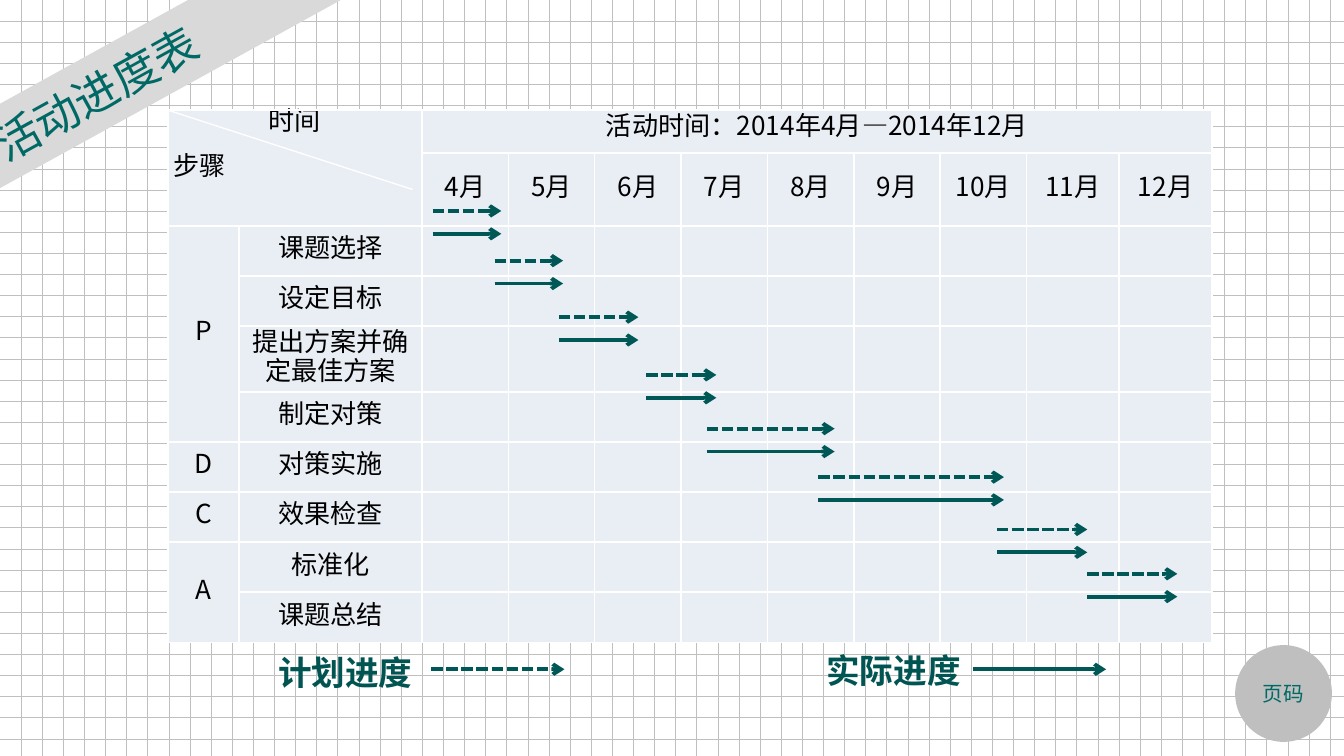
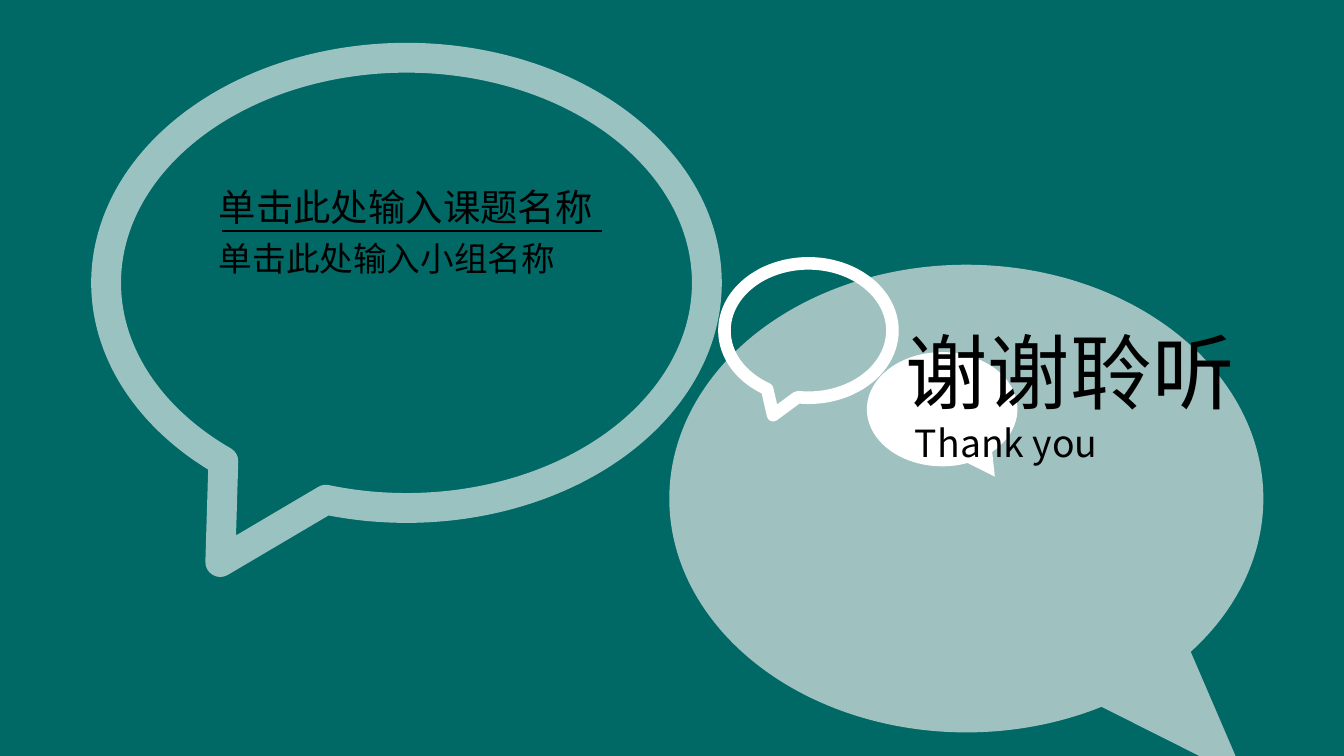
import lxml.etree
import pptx
import pptx.dml.color
import pptx.enum.dml
import pptx.enum.shapes
import pptx.enum.text
import pptx.oxml.ns
import pptx.util

Inches = pptx.util.Inches
Pt = pptx.util.Pt
qn = pptx.oxml.ns.qn
ALIGN = pptx.enum.text.PP_ALIGN
ANCHOR = pptx.enum.text.MSO_ANCHOR
SHAPE = pptx.enum.shapes.MSO_SHAPE

FONT = "Noto Sans CJK SC"
COLORS = {
    "teal": "006865", "arrow": "005856", "label": "005452", "band": "D9D9D9",
    "grid": "BFBFBF", "cell": "E9EDF4", "pale": "F2F2F2",
    "white": "FFFFFF", "black": "000000",
}
MONTHS = [f"{month}月" for month in range(4, 13)]
STEPS = [
    ("P", "课题选择"), ("", "设定目标"), ("", "提出方案并确定最佳方案"),
    ("", "制定对策"), ("D", "对策实施"), ("C", "效果检查"),
    ("A", "标准化"), ("", "课题总结"),
]
STEP = 2.61 / 7
WIDTHS = [0.53, 1.36] + [4.5 / 7] * 7 + [0.69] * 2
HEIGHTS = [0.32, 0.29, STEP, STEP, 0.49] + [STEP] * 5
SPANS = [(0, 0, 1, 1), (0, 2, 0, 10), (2, 0, 5, 0), (8, 0, 9, 0)]
SPELLS = [
    (1.97, 2.48, 0.75), (2.43, 2.94, 1.12), (2.91, 3.5, 1.54),
    (3.56, 4.08, 1.97), (4.01, 4.96, 2.37), (4.84, 6.22, 2.73),
    (6.17, 6.84, 3.12), (6.84, 7.51, 3.45),
]
GAP = 0.17


def rgb(name):
    """Return the named colour."""
    return pptx.dml.color.RGBColor.from_string(COLORS[name])


def add_tag(parent, tag, **attrs):
    """Append a drawing element to a parent."""
    return lxml.etree.SubElement(parent, qn(tag), **attrs)


def paint(fill, name, alpha=100):
    """Give a fill a solid colour, with opacity in percent."""
    fill.solid()
    fill.fore_color.rgb = rgb(name)
    if alpha < 100:
        node = next(fill._xPr.iter(qn("a:srgbClr")))
        add_tag(node, "a:alpha", val=str(alpha * 1000))


def style(para, size, color, bold=False, align=ALIGN.LEFT):
    """Set the alignment and font of a paragraph."""
    para.alignment = align
    font = para.font
    font.size, font.bold, font.name = Pt(size), bold, FONT
    font.color.rgb = rgb(color)
    add_tag(font._element, "a:ea", typeface=FONT)


def write(shape, text, size, color, anchor=ANCHOR.TOP, **look):
    """Put one styled paragraph into a shape."""
    frame = shape.text_frame
    frame.word_wrap = True
    frame.auto_size = pptx.enum.text.MSO_AUTO_SIZE.NONE
    frame.vertical_anchor = anchor
    frame.text = text
    style(frame.paragraphs[0], size, color, **look)


def place(shape, box):
    """Move and size a shape to a box."""
    shape.left, shape.top, shape.width, shape.height = map(Inches, box)


def add_text(slide, box, text, size, color, **look):
    """Add a text box."""
    shape = slide.shapes.add_textbox(*map(Inches, box))
    write(shape, text, size, color, **look)


def add_line(shapes, start, end, color, width, dash=False, head=False):
    """Add a straight line, dashed or with an arrowhead on demand."""
    link = shapes.add_connector(
        pptx.enum.shapes.MSO_CONNECTOR.STRAIGHT, *map(Inches, start + end))
    line = link.line
    line.width = Pt(width)
    line.color.rgb = rgb(color)
    if dash:
        line.dash_style = pptx.enum.dml.MSO_LINE.SQUARE_DOT
    props = link.element.spPr
    if head:
        add_tag(props.find(qn("a:ln")), "a:tailEnd", type="arrow")
    add_tag(props, "a:effectLst")


def add_shape(slide, kind, box):
    """Add a preset shape without shadow, fill or line."""
    shape = slide.shapes.add_shape(kind, *map(Inches, box))
    shape.shadow.inherit = False
    shape.fill.background()
    shape.line.fill.background()
    return shape


def add_band(slide, box, text):
    """Lay the title on a slanted band across the corner."""
    title = slide.shapes.title
    place(title, box)
    title.rotation = 331.1
    paint(title.fill, "band")
    write(title, text, 24, "teal", anchor=ANCHOR.MIDDLE)
    title.text_frame.margin_left = Inches(0.77)


def fill_cell(cell, texts, lead, top=0, bottom=0):
    """Format a table cell and write its paragraphs."""
    cell.margin_left = cell.margin_right = Inches(0.04)
    cell.margin_top, cell.margin_bottom = Inches(top), Inches(bottom)
    cell.vertical_anchor = ANCHOR.MIDDLE
    for side in "LRTB":
        edge = add_tag(cell._tc.get_or_add_tcPr(), f"a:ln{side}", w=str(Pt(1)))
        solid = add_tag(edge, "a:solidFill")
        add_tag(solid, "a:srgbClr", val=COLORS["white"])
    paint(cell.fill, "cell")
    cell.text = "\n".join(texts)
    for para in cell.text_frame.paragraphs:
        para.line_spacing = Pt(lead)
        style(para, 14, "black", align=ALIGN.CENTER)


def add_plan(slide, box):
    """Build the schedule table and its corner diagonal."""
    left, top = box[:2]
    rows = [[""] * 2 + ["活动时间：2014年4月—2014年12月"] + [""] * 8,
            [""] * 2 + MONTHS]
    rows += [list(step) + [""] * 9 for step in STEPS]
    table = slide.shapes.add_table(
        len(rows), len(WIDTHS), *map(Inches, box)).table
    table.first_row = table.horz_banding = False
    for col, width in zip(table.columns, WIDTHS):
        col.width = Inches(width)
    for row, height in zip(table.rows, HEIGHTS):
        row.height = Inches(height)
    for y, row in enumerate(rows):
        for x, text in enumerate(row):
            pad = 0.04 if y == 1 else 0
            if (y, x) == (0, 0):
                fill_cell(table.cell(y, x), ["时间", "步骤"], 12, 0.04)
            else:
                fill_cell(table.cell(y, x), [text], 15.6 if y else 12, pad, pad)
    corner = table.cell(0, 0)
    corner.vertical_anchor = ANCHOR.TOP
    step = corner.text_frame.paragraphs[1]
    step.alignment, step.space_before = ALIGN.LEFT, Pt(12)
    for y, x, low, right in SPANS:
        table.cell(y, x).merge(table.cell(low, right))
    add_line(slide.shapes, (left, top), (left + 1.82, top + 0.59), "white", 0.75)


def add_spells(slide, box):
    """Draw a planned and an actual arrow for each step."""
    left, top = box[:2]
    for start, end, drop in SPELLS:
        pair = slide.shapes.add_group_shape().shapes
        for y, dash in ((top + drop, True), (top + drop + GAP, False)):
            add_line(pair, (left + start, y), (left + end, y),
                     "arrow", 2, dash, True)


def add_key(slide, box, text, shift, dash):
    """Add a legend label followed by its arrow."""
    x, y = box[0] + shift, 4.98
    add_line(slide.shapes, (x, y), (x + 0.99, y), "arrow", 2, dash, True)
    add_text(slide, box, text, 18, "label", bold=True)


def add_badge(slide, box):
    """Add the round page badge."""
    badge = add_shape(slide, SHAPE.OVAL, box)
    paint(badge.fill, "grid")
    write(badge, "页码", 11, "teal", anchor=ANCHOR.MIDDLE, align=ALIGN.CENTER)


def add_bubble(slide, box, tip, color, alpha=100, width=0):
    """Add a speech bubble, outlined if it has a width, else filled."""
    bubble = add_shape(slide, SHAPE.OVAL_CALLOUT, box)
    bubble.adjustments[0], bubble.adjustments[1] = tip
    if width:
        bubble.line.width = Pt(width)
        paint(bubble.line.fill, color, alpha)
        add_tag(bubble.element.spPr.find(qn("a:ln")), "a:round")
    else:
        paint(bubble.fill, color, alpha)


def add_names(slide, box):
    """Add the topic and team names, parted by a rule."""
    left, top, width = box
    mid = top + 0.4
    add_text(slide, (left, top, width, 0.44), "单击此处输入课题名称", 20, "black")
    add_text(slide, (left, mid, width, 0.4), "单击此处输入小组名称", 18, "black")
    add_line(slide.shapes, (left + 0.12, mid), (left + 2.95, mid), "black", 1.25)


def add_thanks(slide, box):
    """Place the closing title and its English line."""
    title = slide.shapes.title
    title.element.getparent().append(title.element)
    place(title, box)
    write(title, "谢谢聆听", 44, "black")
    add_text(slide, (box[0] + 0.07, box[1] + 0.74, 1.84, 0.44),
             "Thank you", 20, "black")


def make_plan(slide):
    """Build the schedule slide."""
    back = slide.background.fill
    back.patterned()
    back.pattern = pptx.enum.dml.MSO_PATTERN.DOTTED_GRID
    back.fore_color.rgb, back.back_color.rgb = rgb("grid"), rgb("white")
    box = (1.25, 0.82, 7.77, 3.73)
    add_band(slide, (-0.95, 0.19, 4.15, 0.55), "活动进度表")
    add_plan(slide, box)
    add_spells(slide, box)
    add_badge(slide, (9.19, 4.8, 0.72, 0.72))
    add_key(slide, (1.97, 4.8, 1.25, 0.4), "计划进度", 1.24, True)
    add_key(slide, (6.05, 4.79, 1.25, 0.4), "实际进度", 1.19, False)


def make_end(slide):
    """Build the closing slide."""
    paint(slide.background.fill, "teal")
    add_bubble(slide, (4.98, 1.97, 4.42, 3.48), (0.47, 0.6), "pale", 66)
    add_bubble(slide, (5.39, 1.96, 1.25, 1), (-0.21, 0.63), "white", width=6.75)
    add_bubble(slide, (6.45, 2.62, 1.12, 0.85), (0.35, 0.59), "white")
    add_bubble(slide, (0.79, 0.43, 4.47, 3.35), (-0.31, 0.62), "white", 60, 16)
    add_thanks(slide, (6.64, 2.34, 2.76, 0.84))
    add_names(slide, (1.53, 1.32, 3.02))


def main():
    """Build and save the deck."""
    deck = pptx.Presentation()
    deck.slide_width = Inches(10)
    deck.slide_height = deck.slide_width * 9 // 16
    for make in (make_plan, make_end):
        make(deck.slides.add_slide(deck.slide_layouts[5]))
    deck.save("out.pptx")


if __name__ == "__main__":
    main()
